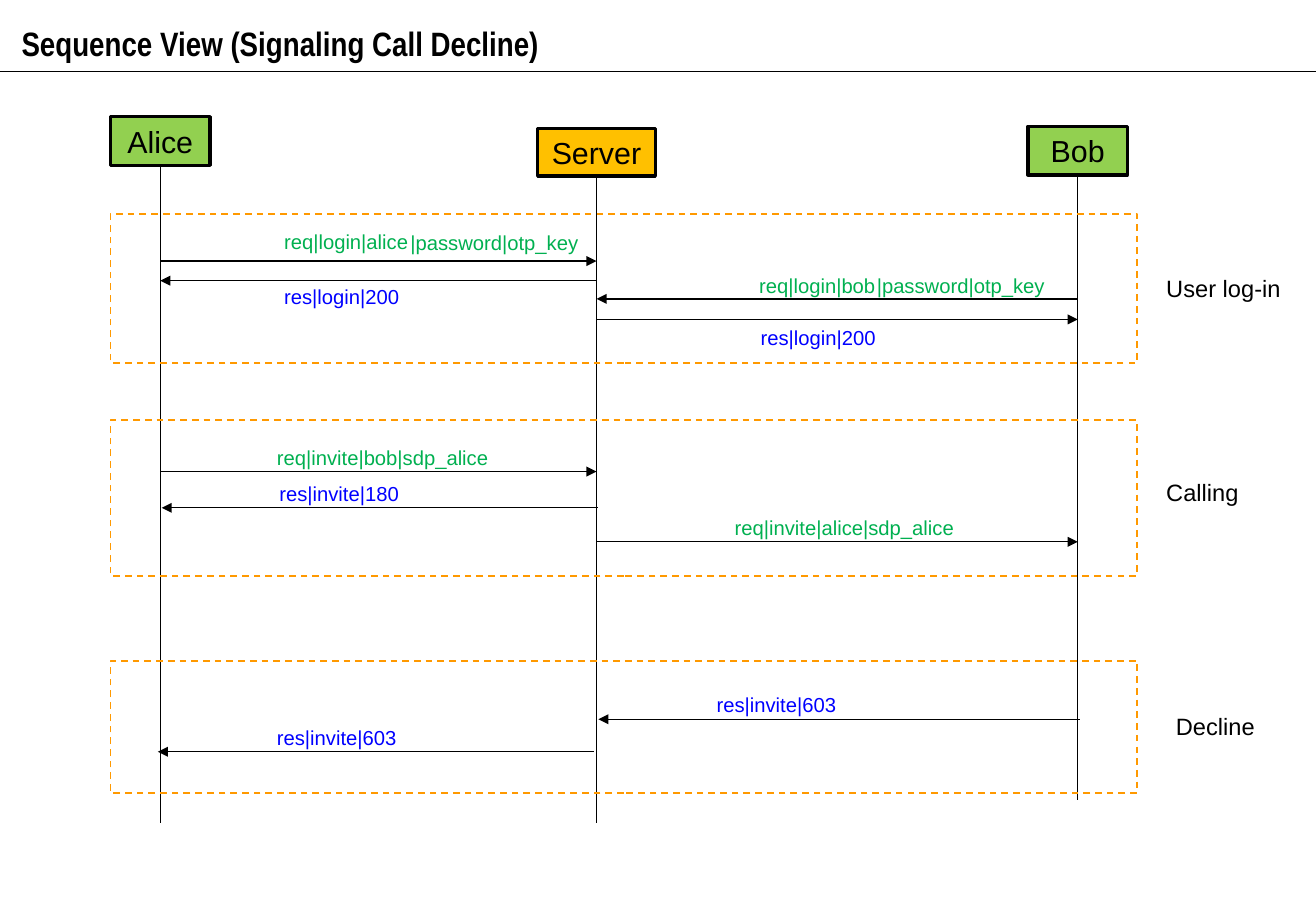
from dataclasses import dataclass
from lxml import etree
from pptx import Presentation
from pptx.dml.color import RGBColor
from pptx.enum.dml import MSO_LINE
from pptx.enum.shapes import MSO_CONNECTOR, MSO_SHAPE
from pptx.enum.text import MSO_ANCHOR, MSO_AUTO_SIZE, PP_ALIGN
from pptx.oxml.ns import qn
from pptx.slide import Slide
from pptx.util import Cm, Pt

BLACK = RGBColor(0x00, 0x00, 0x00)
LIME = RGBColor(0x92, 0xD0, 0x50)
AMBER = RGBColor(0xFF, 0xC0, 0x00)
ORANGE = RGBColor(0xFF, 0x99, 0x00)
GREEN = RGBColor(0x00, 0xB0, 0x50)
BLUE = RGBColor(0x00, 0x00, 0xFF)

STRAIGHT = MSO_CONNECTOR.STRAIGHT
RECT = MSO_SHAPE.RECTANGLE
DASH = MSO_LINE.DASH
TOP, MIDDLE = MSO_ANCHOR.TOP, MSO_ANCHOR.MIDDLE
LEFT, CENTER = PP_ALIGN.LEFT, PP_ALIGN.CENTER
FIXED = MSO_AUTO_SIZE.NONE

WIDTH, HEIGHT = 27.51, 19.05
ALICE, SERVER, BOB = 3.35, 12.47, 22.53

# name, lane x, top, width, height, fill, lane end
ACTORS = [
    ("Alice", ALICE, 2.44, 2.08, 1.02, LIME, 17.2),
    ("Bob", BOB, 2.64, 2.08, 1.02, LIME, 16.74),
    ("Server", SERVER, 2.69, 2.46, 0.99, AMBER, 17.2),
]
# start, end, y, sideways shift
ARROWS = [
    (ALICE, SERVER, 5.46, 0),
    (SERVER, ALICE, 5.87, 0),
    (BOB, SERVER, 6.25, 0),
    (SERVER, BOB, 6.68, 0),
    (ALICE, SERVER, 9.86, 0),
    (SERVER, ALICE, 10.62, 0.03),
    (SERVER, BOB, 11.33, 0),
    (BOB, SERVER, 15.04, 0.04),
    (SERVER, ALICE, 15.72, -0.05),
]
# text, left, top, width
LABELS = [
    ("req|login|alice", 5.69, 4.67, 3.17),
    ("res|login|200", 5.69, 5.82, 2.97),
    ("req|login|bob", 15.62, 5.59, 3),
    ("res|login|200", 15.65, 6.68, 2.97),
    ("req|invite|bob|sdp_alice", 5.54, 9.19, 5),
    ("res|invite|180", 5.59, 9.93, 3.07),
    ("req|invite|alice|sdp_alice", 15.11, 10.64, 5.18),
    ("res|invite|603", 14.73, 14.35, 4.27),
    ("res|invite|603", 5.54, 15.04, 3.07),
]
KEYS = [(8.33, 4.57), (18.08, 5.46)]
# frame top, frame height, caption, caption left, top, width
PHASES = [
    (4.47, 3.12, "User log-in", 24.13, 5.59, 2.97),
    (8.79, 3.25, "Calling", 24.13, 9.86, 2.08),
    (13.82, 2.77, "Decline", 24.33, 14.76, 2.23),
]


def write(frame, text, size=12, color=BLACK, font="Arial", bold=False,
          align=LEFT, anchor=TOP, pad=0.13, lead=None):
    frame.auto_size = FIXED
    frame.word_wrap = True
    frame.vertical_anchor = anchor
    frame.margin_left = frame.margin_right = Cm(0.25)
    frame.margin_top = frame.margin_bottom = Cm(pad)
    line = frame.paragraphs[0]
    line.alignment = align
    if lead:
        line.line_spacing = lead
    run = line.add_run()
    run.text = text
    run.font.name = font
    run.font.size = Pt(size)
    run.font.bold = bold
    run.font.color.rgb = color


@dataclass
class Chart:
    """Draws the parts of a sequence chart on one slide."""
    slide: Slide
    thin: float = 0.75
    thick: float = 2

    def title(self, text, *box):
        head = self.slide.shapes.title
        head.left, head.top, head.width, head.height = map(Cm, box)
        write(head.text_frame, text, size=20, font="Arial Narrow",
              bold=True, lead=1.2)

    def line(self, x1, y1, x2, y2, arrow=False):
        link = self.slide.shapes.add_connector(
            STRAIGHT, Cm(x1), Cm(y1), Cm(x2), Cm(y2))
        link.line.color.rgb = BLACK
        link.line.width = Pt(self.thin)
        if arrow:
            tip = etree.SubElement(link.line._get_or_add_ln(), qn("a:tailEnd"))
            tip.set("type", "triangle")
        etree.SubElement(link._element.spPr, qn("a:effectLst"))

    def rect(self, *box, edge, width):
        shape = self.slide.shapes.add_shape(RECT, *map(Cm, box))
        shape.shadow.inherit = False
        shape.fill.background()
        shape.line.color.rgb = edge
        shape.line.width = Pt(width)
        return shape

    def actor(self, name, x, top, width, height, fill, end):
        """Draw a name box centred on its lifeline."""
        shape = self.rect(x - width / 2, top, width, height,
                          edge=BLACK, width=self.thick)
        shape.fill.solid()
        shape.fill.fore_color.rgb = fill
        write(shape.text_frame, name, size=18, align=CENTER, anchor=MIDDLE)
        self.line(x, top + height, x, end)

    def frame(self, top, height):
        shape = self.rect(2.31, top, 21.46, height, edge=ORANGE, width=1)
        shape.line.dash_style = DASH

    def text(self, text, *box, **style):
        shape = self.slide.shapes.add_textbox(*map(Cm, box))
        write(shape.text_frame, text, **style)


def main():
    deck = Presentation()
    deck.slide_width, deck.slide_height = Cm(WIDTH), Cm(HEIGHT)
    chart = Chart(deck.slides.add_slide(deck.slide_layouts[5]))

    chart.title("Sequence View (Signaling Call Decline)", 0.2, 0.18, 19.84, 1.27)
    chart.line(0, 1.5, WIDTH, 1.5)
    for actor in ACTORS:
        chart.actor(*actor)
    for start, end, y, shift in ARROWS:
        chart.line(start + shift, y, end + shift, y, arrow=True)
    for text, x, y, width in LABELS:
        color = GREEN if text.startswith("req") else BLUE
        chart.text(text, x, y, width, 0.76, color=color)
    for x, y in KEYS:
        chart.text("|password|otp_key", x, y, 4.37, 1.02, color=GREEN, pad=0.25)
    for top, height, name, x, y, width in PHASES:
        chart.frame(top, height)
        chart.text(name, x, y, width, 0.86, size=14)

    deck.save("out.pptx")


if __name__ == "__main__":
    main()
